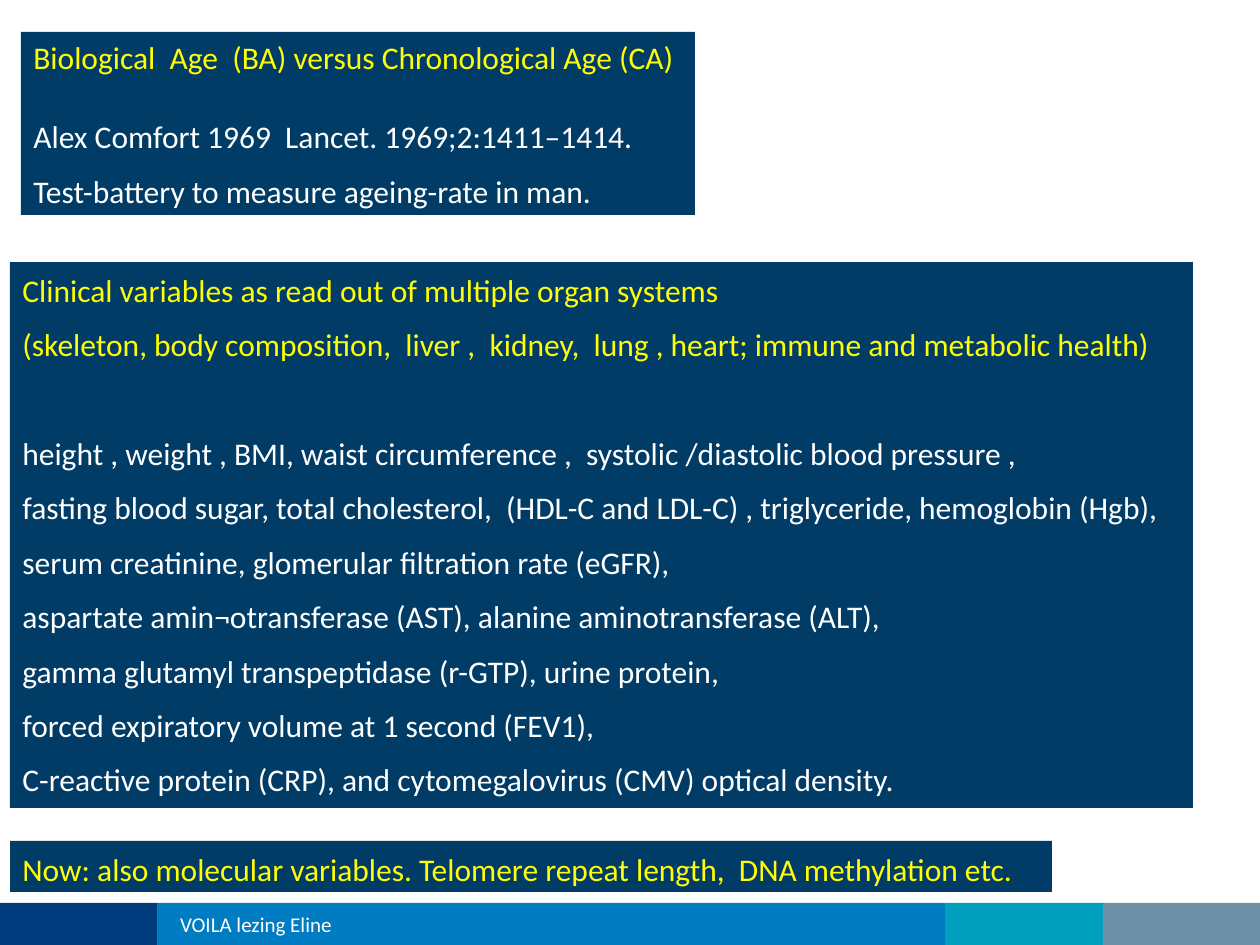
from pptx import Presentation
from pptx.dml.color import RGBColor
from pptx.enum.shapes import MSO_SHAPE
from pptx.enum.text import MSO_ANCHOR, MSO_AUTO_SIZE, PP_ALIGN
from pptx.util import Emu, Pt

RECT = MSO_SHAPE.RECTANGLE
MIDDLE = MSO_ANCHOR.MIDDLE
GROW = MSO_AUTO_SIZE.SHAPE_TO_FIT_TEXT
LEFT = PP_ALIGN.LEFT

FONT = "Calibri"
NAVY, YELLOW, WHITE = "003C66", "FFFF00", "FFFFFF"
BAR_TOP, BAR_HIGH = 903, 42

BARS = [(0, 157, "003C7D"), (157, 788, "007CC2"),
        (945, 158, "009FBD"), (1103, 157, "6E90A6")]

AGE_HEAD = ["Biological  Age  (BA) versus Chronological Age (CA)"]
AGE_BODY = [
    "Alex Comfort 1969  Lancet. 1969;2:1411–1414.",
    "Test-battery to measure ageing-rate in man.",
]
ORGAN_HEAD = [
    "Clinical variables as read out of multiple organ systems",
    "(skeleton, body composition,  liver ,  kidney,  lung , heart; "
    "immune and metabolic health)",
]
ORGAN_BODY = [
    "height , weight , BMI, waist circumference ,  "
    "systolic /diastolic blood pressure ,",
    "fasting blood sugar, total cholesterol,  (HDL-C and LDL-C) , "
    "triglyceride, hemoglobin (Hgb),",
    "serum creatinine, glomerular filtration rate (eGFR),",
    "aspartate amin¬otransferase (AST), alanine aminotransferase (ALT),",
    "gamma glutamyl transpeptidase (r-GTP), urine protein,",
    "forced expiratory volume at 1 second (FEV1),",
    "C-reactive protein (CRP), and cytomegalovirus (CMV) optical density.",
]
NOW_HEAD = ["Now: also molecular variables. Telomere repeat length,  "
            "DNA methylation etc."]


def px(count):
    """Turn pixels into EMU."""
    return Emu(round(count * 914400 / 126))


def paint(fill, color):
    """Give a fill one solid colour."""
    fill.solid()
    fill.fore_color.rgb = RGBColor.from_string(color)


def style(para, size, color):
    """Set the font and alignment of a paragraph."""
    para.alignment = LEFT
    para.font.name = FONT
    para.font.size = Pt(size)
    paint(para.font.fill, color)


def add_bar(slide, left, width, color):
    """Draw one colour block of the footer."""
    bar = slide.shapes.add_shape(
        RECT, px(left), px(BAR_TOP), px(width), px(BAR_HIGH))
    bar.shadow.inherit = False
    paint(bar.fill, color)
    bar.line.fill.background()


def add_panel(slide, box, head, body=(), gap=0, tight=False):
    """Draw a navy panel with yellow head lines and white body lines."""
    panel = slide.shapes.add_textbox(*map(px, box))
    paint(panel.fill, NAVY)
    frame = panel.text_frame
    frame.word_wrap = False
    frame.auto_size = GROW
    lines = [*head, *body]
    for index, line in enumerate(lines):
        para = frame.add_paragraph() if index else frame.paragraphs[0]
        para.text = line
        style(para, 18, YELLOW if index < len(head) else WHITE)
        if index == len(head):
            para.space_before = Pt(gap)
        if index or not tight:
            para.line_spacing = 1.07
            para.space_after = Pt(8)


def add_footer(slide, text):
    """Write the footer label over the bars."""
    label = slide.shapes.add_textbox(
        px(180), px(BAR_TOP), px(649), px(BAR_HIGH))
    frame = label.text_frame
    frame.word_wrap = True
    frame.vertical_anchor = MIDDLE
    frame.margin_left = frame.margin_right = 0
    frame.margin_top = frame.margin_bottom = 0
    frame.text = text
    style(frame.paragraphs[0], 12, WHITE)


def main():
    """Build and save the slide."""
    deck = Presentation()
    deck.slide_width, deck.slide_height = px(1260), px(945)
    slide = deck.slides.add_slide(deck.slide_layouts[6])
    for bar in BARS:
        add_bar(slide, *bar)
    add_panel(slide, (21, 32, 674, 183), AGE_HEAD, AGE_BODY, 22, True)
    add_panel(slide, (10, 262, 1183, 546), ORGAN_HEAD, ORGAN_BODY, 31)
    add_panel(slide, (10, 841, 1042, 51), NOW_HEAD)
    add_footer(slide, "VOILA lezing Eline")
    deck.save("out.pptx")


if __name__ == "__main__":
    main()
